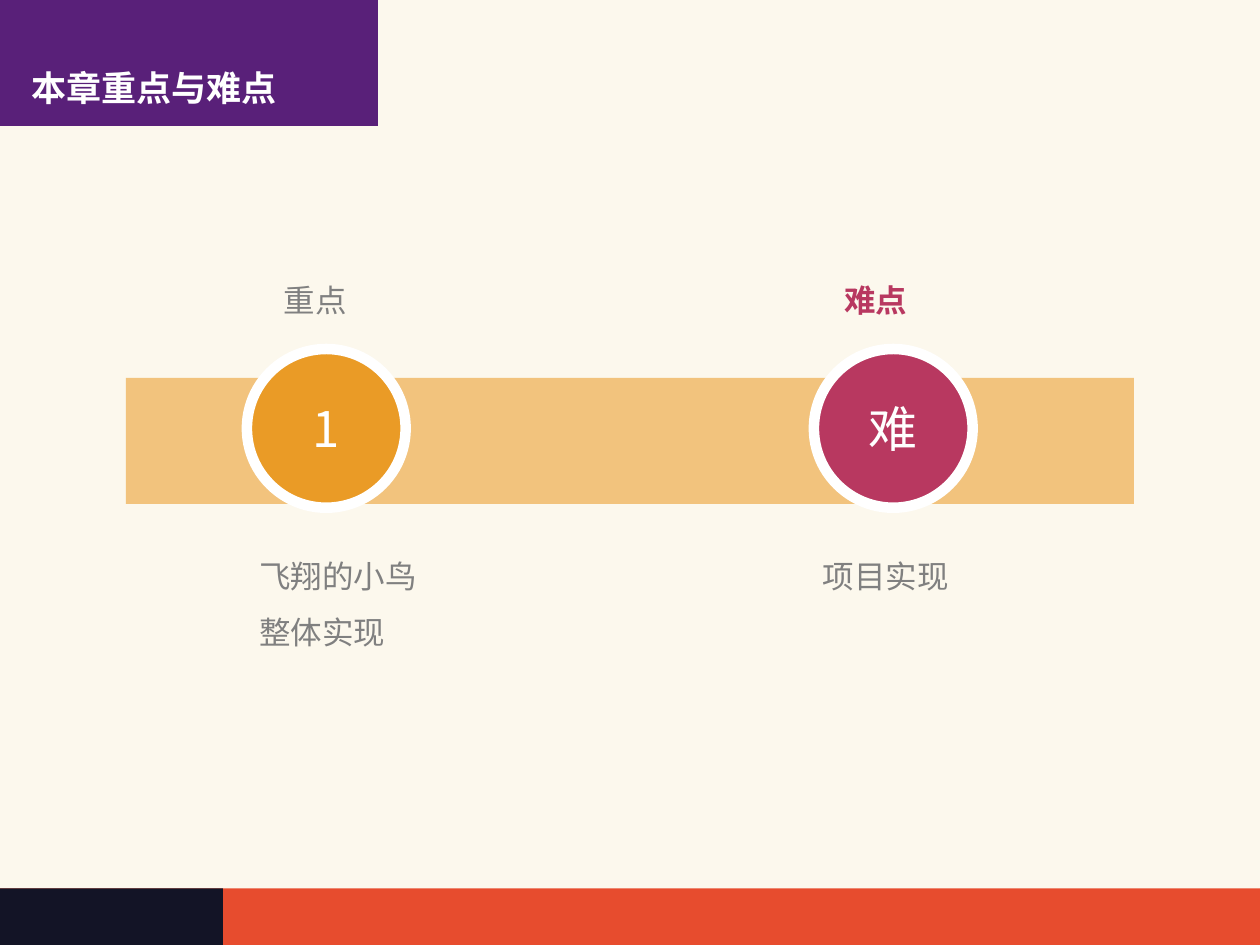
"""Chapter slide: key point and difficulty marked on a timeline arrow."""
from lxml.etree import SubElement
from pptx import Presentation
from pptx.dml.color import RGBColor
from pptx.enum.shapes import MSO_SHAPE as SHAPE
from pptx.enum.text import MSO_ANCHOR as ANCHOR, MSO_AUTO_SIZE as AUTO, PP_ALIGN as ALIGN
from pptx.oxml.ns import qn
from pptx.util import Inches, Pt

FONT = "Noto Sans CJK SC"
COLORS = {"cream": "FCF8ED", "red": "E74C2E", "navy": "131426", "purple": "592079",
          "sand": "F2C37D", "orange": "EA9B26", "berry": "B83860",
          "gray": "808080", "white": "FFFFFF"}
W, H = 10, 7.5
TITLE = "本章重点与难点"
BANNER = [(0, 0.36), (2.63, 0.36), (3.11, 1.04), (0, 1.04)]
ARROW = [(0.87, 3.13), (8.64, 3.13), (8.98, 3.4), (8.64, 3.68), (0.87, 3.68)]
FOOTER_TOP = 7.05
FOOTER = [("red", W), ("navy", 1.77)]
DIAMETER, CIRCLE_TOP, HEAD_TOP, NOTE_TOP = 1.26, 2.77, 2.18, 4.22
STOPS = [
    {"left": 1.96, "color": "orange", "mark": "1",
     "head": "重点", "head_left": 2.2, "head_color": "gray", "bold": False,
     "notes": ["飞翔的小鸟", "整体实现"], "note_box": (2.01, 1.43, 0.97)},
    {"left": 6.46, "color": "berry", "mark": "难",
     "head": "难点", "head_left": 6.65, "head_color": "berry", "bold": True,
     "notes": ["项目实现"], "note_box": (6.48, 1.11, 0.45)},
]


def rgb(name):
    return RGBColor.from_string(COLORS[name])


def paint(sp, color):
    sp.shadow.inherit = False
    sp.fill.solid()
    sp.fill.fore_color.rgb = rgb(color)
    sp.line.fill.background()
    return sp


def add_preset(s, kind, box, color):
    return paint(s.shapes.add_shape(kind, *map(Inches, box)), color)


def add_outline(s, points, color):
    builder = s.shapes.build_freeform(*points[0], scale=Inches(1))
    builder.add_line_segments(points[1:], close=True)
    paint(builder.convert_to_shape(), color)


def write(sp, lines, size, color, bold=False, align=ALIGN.LEFT, anchor=ANCHOR.TOP,
          wrap=True, spacing=None):
    tf = sp.text_frame
    tf.text = "\n".join(lines)
    tf.auto_size, tf.word_wrap, tf.vertical_anchor = AUTO.NONE, wrap, anchor
    tf.margin_left = tf.margin_right = tf.margin_top = tf.margin_bottom = Inches(0.05)
    for p in tf.paragraphs:
        p.alignment, p.line_spacing = align, spacing
        for r in p.runs:
            r.font.size, r.font.bold, r.font.name = Pt(size), bold, FONT
            r.font.color.rgb = rgb(color)
            SubElement(r.font._element, qn("a:ea"), typeface=FONT)


def add_text(s, box, lines, **style):
    write(s.shapes.add_textbox(*map(Inches, box)), lines, **style)


def add_stop(s, stop):
    circle = add_preset(s, SHAPE.OVAL, (stop["left"], CIRCLE_TOP, DIAMETER, DIAMETER),
                        stop["color"])
    circle.line.color.rgb = rgb("white")
    circle.line.width = Pt(6)
    write(circle, [stop["mark"]], 28, "white", align=ALIGN.CENTER, anchor=ANCHOR.MIDDLE)
    add_text(s, (stop["head_left"], HEAD_TOP, 0.61, 0.45), [stop["head"]],
             size=18, color=stop["head_color"], bold=stop["bold"], wrap=False)
    left, width, height = stop["note_box"]
    add_text(s, (left, NOTE_TOP, width, height), stop["notes"],
             size=18, color="gray", wrap=False, spacing=1.5)


def add_title(s):
    title = s.shapes.title
    title.left, title.top, title.width, title.height = map(Inches, (0.2, 0.48, 2.59, 0.49))
    write(title, [TITLE], 20, "white", bold=True)
    title.element.getparent().append(title.element)


def main():
    prs = Presentation()
    prs.slide_width, prs.slide_height = Inches(W), Inches(H)
    s = prs.slides.add_slide(prs.slide_layouts[5])
    s.background.fill.solid()
    s.background.fill.fore_color.rgb = rgb("cream")
    for color, width in FOOTER:
        add_preset(s, SHAPE.RECTANGLE, (0, FOOTER_TOP, width, H - FOOTER_TOP), color)
    add_outline(s, BANNER, "purple")
    add_title(s)
    add_outline(s, ARROW, "sand")
    for stop in STOPS:
        add_stop(s, stop)
    prs.save("out.pptx")


if __name__ == "__main__":
    main()
